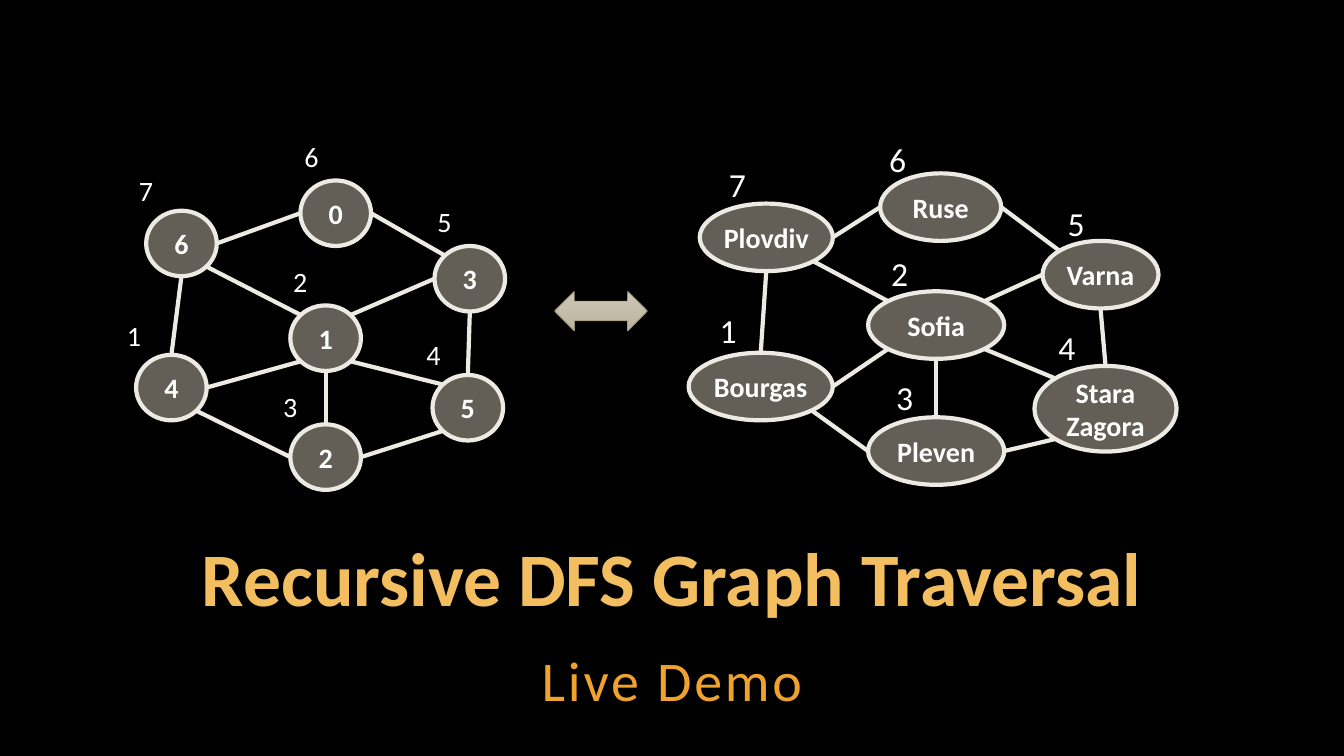
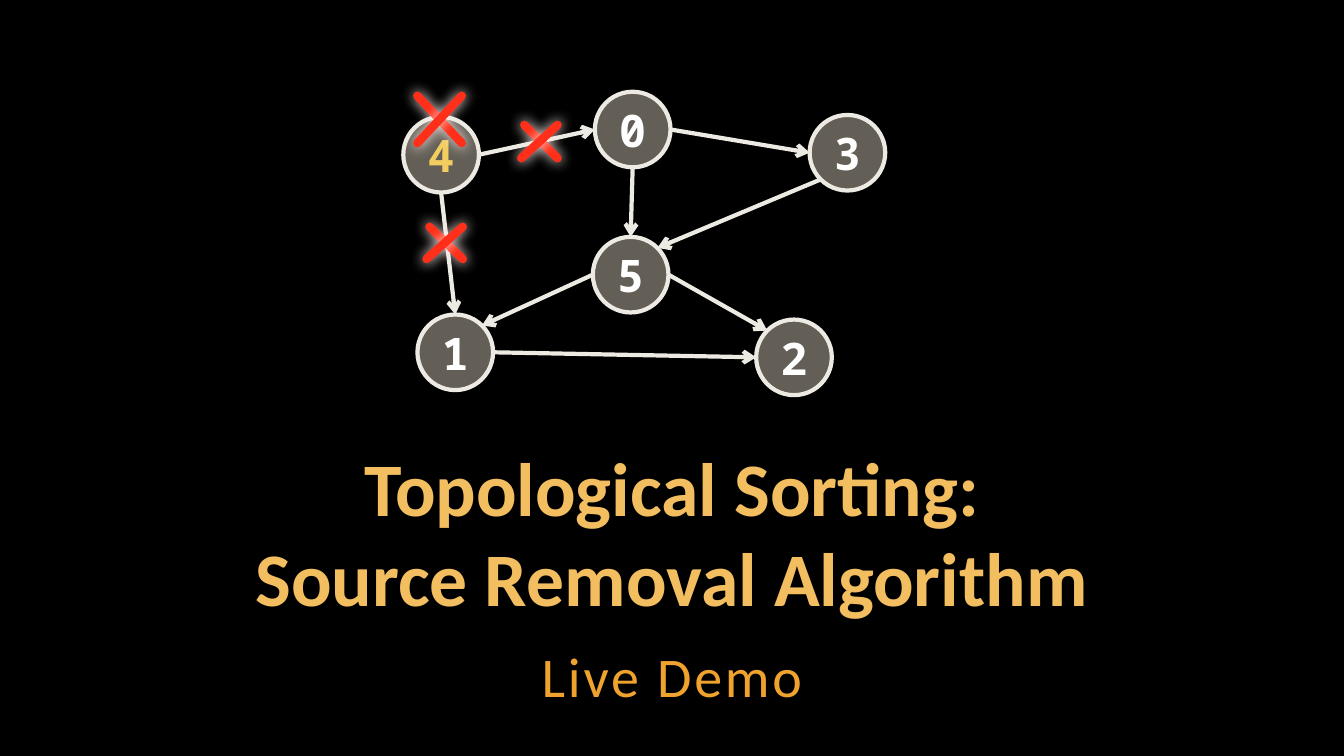
from math import sqrt

from lxml.etree import SubElement
from pptx import Presentation
from pptx.dml.color import RGBColor
from pptx.enum.shapes import MSO_CONNECTOR, MSO_SHAPE
from pptx.enum.text import MSO_ANCHOR, MSO_AUTO_SIZE, PP_ALIGN
from pptx.oxml.ns import qn
from pptx.util import Inches, Pt

COLORS = {
    "background": "000000",
    "title": "F3BE60",
    "subtitle": "F0A22E",
    "node": "C7BFAC",
    "edge": "ECEAE3",
    "text": "FFFFFF",
    "removed": "F3CD60",
    "cross": "FF2F19",
    "glow": "FFEDEB",
    "arrow_top": "CDC7B9",
    "arrow_bottom": "BDB59F",
    "arrow_line": "A19574",
}
RGB = {name: RGBColor.from_string(value) for name, value in COLORS.items()}
BODY_FONT = "Calibri"
DIAGONAL = sqrt(0.5)
SIDES = {
    "n": (0, -1), "s": (0, 1), "w": (-1, 0), "e": (1, 0),
    "nw": (-DIAGONAL, -DIAGONAL), "ne": (DIAGONAL, -DIAGONAL),
    "sw": (-DIAGONAL, DIAGONAL), "se": (DIAGONAL, DIAGONAL),
}


def set_text(shape, text, size, color, font_name=BODY_FONT, bold=False, align=PP_ALIGN.CENTER):
    """Fill the shape with one formatted paragraph and return that paragraph."""
    shape.text_frame.text = text
    paragraph = shape.text_frame.paragraphs[0]
    paragraph.alignment = align
    for run in paragraph.runs:
        run.font.name = font_name
        run.font.size = Pt(size)
        run.font.bold = bold
        run.font.color.rgb = RGB[color]
    return paragraph


def add_line(slide, start, end, color, width):
    """Draw a straight line; return its line element and its empty effect list."""
    connector = slide.shapes.add_connector(
        MSO_CONNECTOR.STRAIGHT, *(Inches(value) for value in (*start, *end)))
    connector.line.color.rgb = RGB[color]
    connector.line.width = Pt(width)
    properties = connector._element.spPr
    return properties.find(qn("a:ln")), SubElement(properties, qn("a:effectLst"))


presentation = Presentation()
presentation.slide_width = Inches(13.33)
presentation.slide_height = Inches(7.5)

# Background, title and subtitle: text, title top, title height, line spacing, subtitle top
slides = []
for title, title_top, title_height, spacing, subtitle_top in [
    ("Recursive DFS Graph Traversal", 5.32, 0.9, 0.9, 6.33),
    ("Topological Sorting:\vSource Removal Algorithm", 4.33, 1.88, 1.0, 6.29),
]:
    slide = presentation.slides.add_slide(presentation.slide_layouts[6])
    slide.background.fill.solid()
    slide.background.fill.fore_color.rgb = RGB["background"]
    slides.append(slide)

    boxes = []
    for top, height in [(title_top, title_height), (subtitle_top, 0.79)]:
        box = slide.shapes.add_textbox(Inches(1), Inches(top), Inches(11.33), Inches(height))
        frame = box.text_frame
        frame.word_wrap = True
        frame.margin_left = frame.margin_right = Inches(0.04)
        frame.margin_top = frame.margin_bottom = Inches(0.04)
        boxes.append(box)
    title_box, subtitle_box = boxes

    title_box.text_frame.vertical_anchor = MSO_ANCHOR.BOTTOM
    set_text(title_box, title, 54, "title", bold=True).line_spacing = spacing

    paragraph = set_text(subtitle_box, "Live Demo", 40, "subtitle")
    paragraph.line_spacing = 1.05
    paragraph.space_after = Pt(6)
    paragraph.runs[0]._r.get_or_add_rPr().set("spc", "200")

dfs_slide, sorting_slide = slides

arrow = dfs_slide.shapes.add_shape(
    MSO_SHAPE.LEFT_RIGHT_ARROW, Inches(5.5), Inches(2.89), Inches(0.92), Inches(0.39))
arrow.shadow.inherit = False
arrow.fill.gradient()
arrow.fill.gradient_angle = 270
for stop, color in zip(arrow.fill.gradient_stops, ("arrow_top", "arrow_bottom")):
    stop.color.rgb = RGB[color]
arrow.line.color.rgb = RGB["arrow_line"]
arrow.line.width = Pt(0.5)

# Edges: node, side, node, side
dfs_edges = [
    (0, "w", 6, "e"), (0, "e", 3, "nw"), (3, "s", 5, "n"), (6, "se", 1, "nw"),
    (6, "s", 4, "n"), (4, "se", 2, "w"), (3, "w", 1, "ne"), (1, "s", 2, "n"),
    (5, "sw", 2, "e"), (4, "e", 1, "sw"), (1, "se", 5, "nw"),
]
sorting_edges = [
    (5, "e", 2, "nw"), (4, "e", 0, "w"), (0, "s", 5, "n"), (4, "s", 1, "n"),
    (5, "w", 1, "ne"), (1, "e", 2, "w"), (0, "e", 3, "w"), (3, "sw", 5, "ne"),
]

# Nodes: number -> (text, left, top, width, height)
city_nodes = {
    0: ("Ruse", 8.73, 1.72, 1.2, 0.67),
    1: ("Sofia", 8.61, 2.89, 1.35, 0.67),
    2: ("Pleven", 8.61, 4.14, 1.35, 0.67),
    3: ("Varna", 10.34, 2.39, 1.15, 0.67),
    4: ("Bourgas", 6.83, 3.5, 1.43, 0.67),
    5: ("Stara Zagora", 10.26, 3.63, 1.41, 0.85),
    6: ("Plovdiv", 6.94, 2.02, 1.32, 0.67),
}
number_places = [(2.98, 1.79), (2.88, 3.03), (2.88, 4.21), (4.31, 2.44),
                 (1.35, 3.52), (4.29, 3.72), (1.45, 2.09)]
number_nodes = {number: (str(number), *place, 0.7, 0.65)
                for number, place in enumerate(number_places)}
sorting_places = [(5.9, 0.91), (4.14, 3.12), (7.5, 3.17),
                  (8.03, 1.14), (4, 1.16), (5.88, 2.35)]
sorting_nodes = {number: (str(number), *place, 0.75, 0.75)
                 for number, place in enumerate(sorting_places)}

for slide, nodes, edges, font_name, size, directed in [
    (dfs_slide, city_nodes, dfs_edges, BODY_FONT, 20, False),
    (dfs_slide, number_nodes, dfs_edges, BODY_FONT, 20, False),
    (sorting_slide, sorting_nodes, sorting_edges, "Noto Sans Mono", 32, True),
]:
    for number, (text, *place) in nodes.items():
        node = slide.shapes.add_shape(MSO_SHAPE.OVAL, *(Inches(value) for value in place))
        node.shadow.inherit = False
        node.fill.solid()
        node.fill.fore_color.rgb = RGB["node"]
        fill_color = node._element.spPr.find(qn("a:solidFill"))[0]
        SubElement(fill_color, qn("a:alpha")).set("val", "50000")
        node.line.color.rgb = RGB["edge"]
        node.line.width = Pt(3)
        frame = node.text_frame
        frame.vertical_anchor = MSO_ANCHOR.MIDDLE
        frame.word_wrap = not directed
        if not directed:
            frame.margin_left = frame.margin_right = Inches(0.04)
        color = "removed" if directed and number == 4 else "text"
        set_text(node, text, size, color, font_name, bold=True)

    for first, first_side, second, second_side in edges:
        ends = []
        for number, side in ((first, first_side), (second, second_side)):
            _, left, top, width, height = nodes[number]
            across, down = SIDES[side]
            ends.append((left + width / 2 * (1 + across), top + height / 2 * (1 + down)))
        line, _ = add_line(slide, *ends, "edge", 3)
        if directed:
            SubElement(line, qn("a:tailEnd")).set("type", "arrow")

# Visit order, counted from 1
city_order = [(7.04, 3.03), (8.74, 2.46), (8.79, 3.69), (10.4, 3.19),
              (10.49, 1.96), (8.72, 1.33), (7.13, 1.58)]
number_order = [(1.16, 3.11), (2.81, 2.57), (2.71, 3.81), (4.13, 3.3),
                (4.24, 1.98), (2.92, 1.33), (1.28, 1.67)]
for places, size, width, height in [(city_order, 24, 0.37, 0.5), (number_order, 20, 0.42, 0.52)]:
    for order, (left, top) in enumerate(places, start=1):
        label = dfs_slide.shapes.add_textbox(
            Inches(left), Inches(top), Inches(width), Inches(height))
        label.text_frame.word_wrap = False
        label.text_frame.auto_size = MSO_AUTO_SIZE.SHAPE_TO_FIT_TEXT
        set_text(label, str(order), size, "text", align=PP_ALIGN.LEFT)

# Crosses over what is removed: left, top, right, bottom, left end of the rising stroke
for left, top, right, bottom, rising_left in [
    (4.14, 0.95, 4.58, 1.42, 4.14),
    (5.2, 1.24, 5.53, 1.57, 5.17),
    (4.26, 2.25, 4.59, 2.57, 4.23),
]:
    for start, end in [((left, top), (right, bottom)), ((right, top), (rising_left, bottom))]:
        line, effects = add_line(sorting_slide, start, end, "cross", 6)
        line.set("cap", "rnd")
        glow = SubElement(effects, qn("a:outerShdw"), blurRad=str(Pt(10)), dist="0",
                          dir="5400000", algn="ctr", rotWithShape="0")
        SubElement(glow, qn("a:srgbClr")).set("val", COLORS["glow"])

presentation.save("out.pptx")
